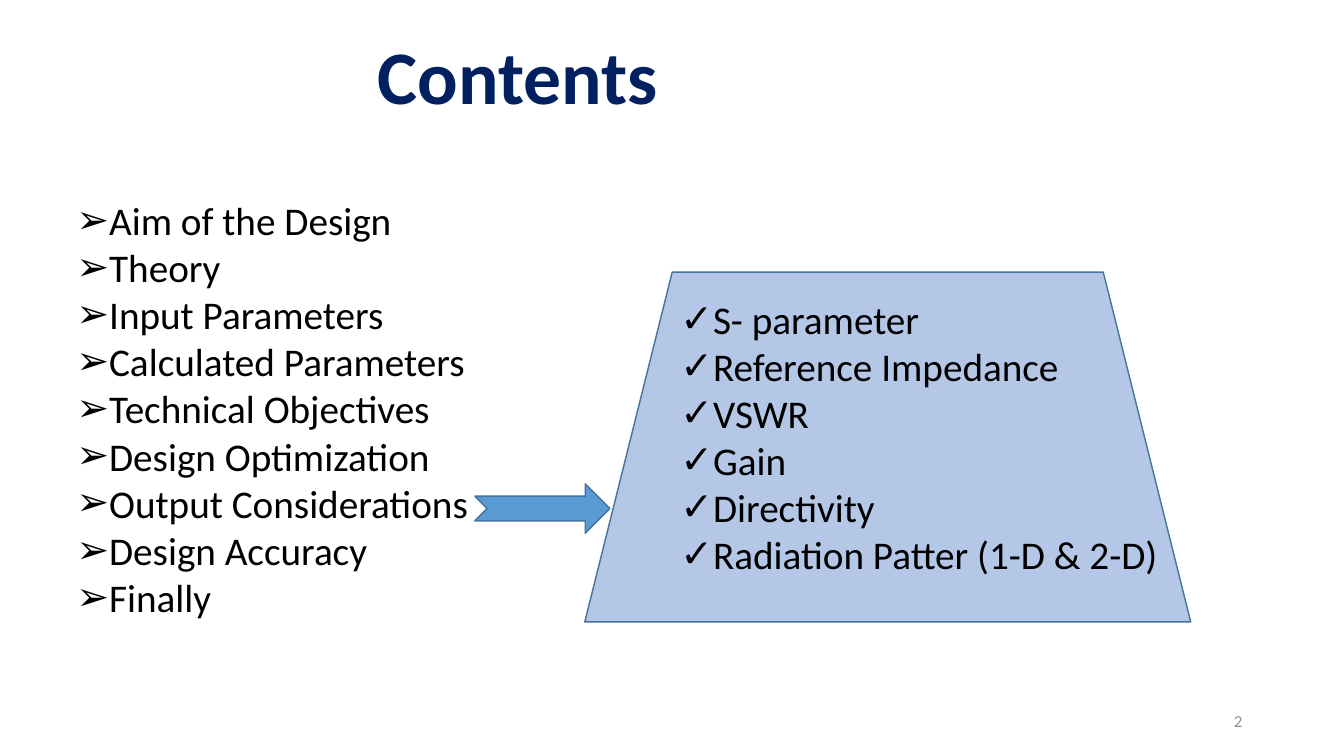
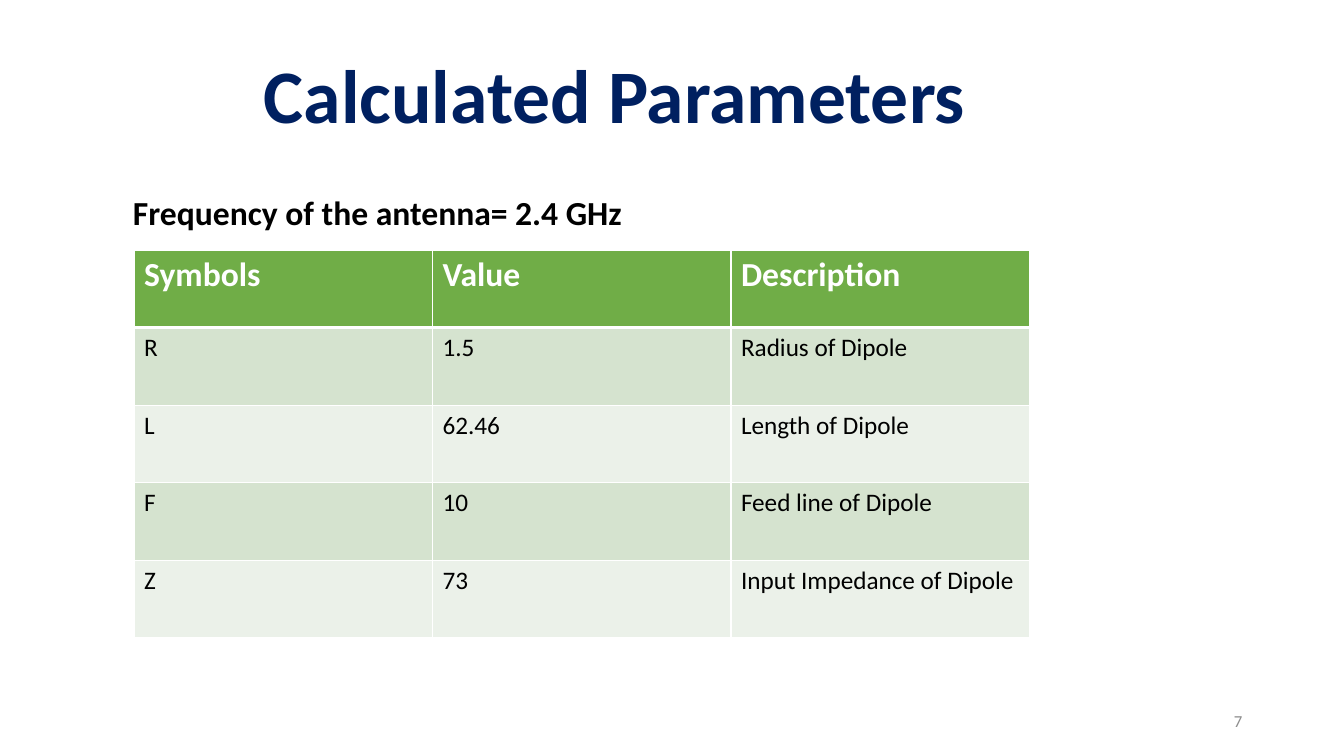
from dataclasses import dataclass

from lxml.etree import SubElement
from pptx import Presentation
from pptx.dml.color import RGBColor
from pptx.enum.shapes import MSO_SHAPE as SHAPE
from pptx.enum.text import MSO_ANCHOR as ANCHOR, PP_ALIGN as ALIGN
from pptx.oxml import parse_xml
from pptx.oxml.ns import nsdecls, qn
from pptx.util import Pt

PX = 9144  # EMU per px, 100 px to the inch


@dataclass(frozen=True)
class Theme:
    font: str = "Calibri"
    title: str = "002060"
    text: str = "000000"
    muted: str = "8C8C8C"
    white: str = "FFFFFF"
    panel: str = "B4C7E7"
    arrow: str = "5B9BD5"
    outline: str = "43739E"
    header: str = "70AD47"
    bands: tuple = ("D5E3CF", "EBF1E9")
    title_pt: int = 54
    list_pt: int = 28
    head_pt: int = 24
    cell_pt: int = 18
    number_pt: int = 12


T = Theme()


def px(*lengths):
    return [n * PX for n in lengths]


def rgb(value):
    return RGBColor.from_string(value)


def add_run(p, text, size, color=T.text, bold=False):
    r = p.add_run()
    r.text = text
    f = r.font
    f.name, f.size, f.bold = T.font, Pt(size), bold
    f.color.rgb = rgb(color)


def add_text(s, box, text, size, color=T.text, bold=False,
             align=ALIGN.LEFT, anchor=ANCHOR.TOP):
    tf = s.shapes.add_textbox(*px(*box)).text_frame
    tf.word_wrap = True
    tf.vertical_anchor = anchor
    p = tf.paragraphs[0]
    p.alignment = align
    add_run(p, text, size, color, bold)


def add_list(s, box, items, bullet, indent=31):
    tf = s.shapes.add_textbox(*px(*box)).text_frame
    tf.word_wrap = True
    for i, item in enumerate(items):
        p = tf.add_paragraph() if i else tf.paragraphs[0]
        pPr = p._p.get_or_add_pPr()
        pPr.set("marL", str(indent * PX))
        pPr.set("indent", str(-indent * PX))
        SubElement(pPr, qn("a:buFont")).set("typeface", "Arial")
        SubElement(pPr, qn("a:buChar")).set("char", bullet)
        add_run(p, item, T.list_pt)


def add_filled(s, kind, box, fill):
    sp = s.shapes.add_shape(kind, *px(*box))
    sp.shadow.inherit = False
    sp.fill.solid()
    sp.fill.fore_color.rgb = rgb(fill)
    sp.line.color.rgb = rgb(T.outline)
    sp.line.width = Pt(1)


def add_borders(cell, **widths):
    # Border lines come before the fill in the cell properties
    tcPr = cell._tc.get_or_add_tcPr()
    for i, side in enumerate("LRTB"):
        width = Pt(widths.get(side, 1))
        tcPr.insert(i, parse_xml(
            f'<a:ln{side} {nsdecls("a")} w="{width}"><a:solidFill>'
            f'<a:srgbClr val="{T.white}"/></a:solidFill></a:ln{side}>'))


def add_grid(s, box, rows):
    table = s.shapes.add_table(len(rows), len(rows[0]), *px(*box)).table
    for i, row in enumerate(rows):
        table.rows[i].height = box[3] * PX // len(rows)
        for j, text in enumerate(row):
            cell = table.cell(i, j)
            cell.fill.solid()
            p = cell.text_frame.paragraphs[0]
            if i == 0:
                cell.fill.fore_color.rgb = rgb(T.header)
                add_run(p, text, T.head_pt, T.white, True)
                add_borders(cell, B=3)
            else:
                cell.fill.fore_color.rgb = rgb(T.bands[(i - 1) % 2])
                add_run(p, text, T.cell_pt)
                add_borders(cell, T=3 if i == 1 else 1)


def add_base(prs, title, title_box, number):
    """Blank slide with the shared title style and page number."""
    s = prs.slides.add_slide(prs.slide_layouts[6])
    add_text(s, (942, 695, 300, 40), str(number), T.number_pt, T.muted,
             align=ALIGN.RIGHT, anchor=ANCHOR.MIDDLE)
    add_text(s, title_box, title, T.title_pt, T.title, True)
    return s


def add_output_panel(s, box, items):
    x, y, w, h = box
    add_filled(s, SHAPE.TRAPEZOID, box, T.panel)
    # Arrow from the list into the slanted side
    add_filled(s, SHAPE.NOTCHED_RIGHT_ARROW, (x - 109, y + 210, 134, 49), T.arrow)
    add_list(s, (x + 85, y + 18, w - 65, h - 7), items, "✓")


def contents_slide(prs):
    s = add_base(prs, "Contents", (365, 24, 340, 101), 2)
    add_list(s, (66, 190, 514, 495), [
        "Aim of the Design", "Theory", "Input Parameters",
        "Calculated Parameters", "Technical Objectives",
        "Design Optimization", "Output Considerations",
        "Design Accuracy", "Finally"], "➢")
    add_output_panel(s, (580, 270, 601, 347), [
        "S- parameter", "Reference Impedance", "VSWR", "Gain",
        "Directivity", "Radiation Patter (1-D & 2-D)"])


def parameters_slide(prs):
    s = add_base(prs, "Calculated Parameters", (252, 43, 957, 131), 7)
    add_grid(s, (133, 248, 888, 385), [
        ("Symbols", "Value", "Description"),
        ("R", "1.5", "Radius of Dipole"),
        ("L", "62.46", "Length of Dipole"),
        ("F", "10", "Feed line of Dipole"),
        ("Z", "73", "Input Impedance of Dipole")])
    add_text(s, (122, 185, 732, 50), "Frequency of the antenna= 2.4 GHz",
             T.head_pt, bold=True)


def main():
    prs = Presentation()
    prs.slide_width, prs.slide_height = px(1333, 750)
    contents_slide(prs)
    parameters_slide(prs)
    prs.save("out.pptx")


if __name__ == "__main__":
    main()
